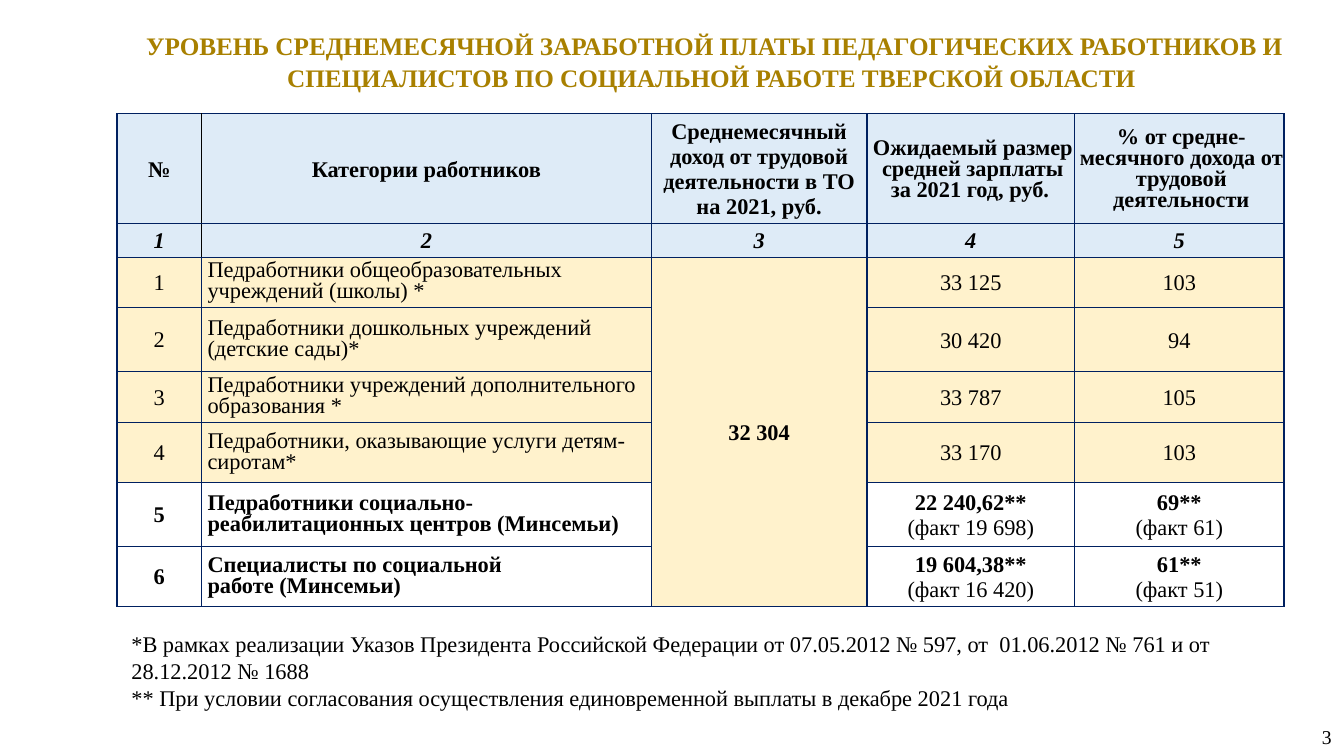
import pptx
import pptx.util
import pptx.dml.color
import pptx.enum.shapes
import pptx.enum.text
import lxml.etree

Cm, Pt = pptx.util.Cm, pptx.util.Pt
ALIGN = pptx.enum.text.PP_ALIGN
MIDDLE = pptx.enum.text.MSO_ANCHOR.MIDDLE

COLORS = {
    "title": "A88000", "text": "000000", "header": "DEEBF7",
    "teachers": "FFF2CC", "ministry": "FFFFFF", "border": "002060",
}
FONT = "Times New Roman"
TITLE = ("УРОВЕНЬ СРЕДНЕМЕСЯЧНОЙ ЗАРАБОТНОЙ ПЛАТЫ ПЕДАГОГИЧЕСКИХ РАБОТНИКОВ И "
         "СПЕЦИАЛИСТОВ ПО СОЦИАЛЬНОЙ РАБОТЕ ТВЕРСКОЙ ОБЛАСТИ ")
HEADINGS = [
    "№",
    "Категории работников",
    "Среднемесячный доход от трудовой деятельности в ТО на 2021, руб.",
    "Ожидаемый размер средней зарплаты за 2021 год, руб. ",
    "% от средне-месячного дохода от трудовой деятельности",
]
AVERAGE_INCOME = "32 304"
# Category lines, expected salary, percent of average income
TEACHERS = [
    (["Педработники общеобразовательных учреждений (школы) *"], ["33 125"], ["103"]),
    (["Педработники дошкольных учреждений (детские сады)*"], ["30 420"], ["94"]),
    (["Педработники учреждений дополнительного образования *"], ["33 787"], ["105"]),
    (["Педработники, оказывающие услуги детям-сиротам*"], ["33 170"], ["103"]),
]
MINISTRY = [
    (["Педработники социально-реабилитационных центров (Минсемьи)"],
     ["22 240,62**", "(факт 19 698)"], ["69**", "(факт 61)"]),
    (["Специалисты по социальной", "работе (Минсемьи)"],
     ["19 604,38**", "(факт 16 420)"], ["61**", "(факт 51)"]),
]
FOOTNOTES = [
    "*В рамках реализации Указов Президента Российской Федерации от 07.05.2012 № 597, "
    "от  01.06.2012 № 761 и от 28.12.2012 № 1688",
    "** При условии согласования осуществления единовременной выплаты в декабре 2021 года",
]
PAGE_NUMBER = "3"

COLUMN_WIDTHS = [2.13, 11.33, 5.44, 5.23, 5.28]
ROW_HEIGHTS = [2.77, 0.84, 1.26, 1.63, 1.27, 1.52, 1.61, 1.52]
FIRST_DATA_ROW = 2
# Cell margins in cm: left, top, right, bottom
PLAIN_MARGINS = (0.03, 0.03, 0.03, 0)
CATEGORY_MARGINS = (0.15, 0.03, 0.2, 0)
VALUE_MARGINS = (0, 0.1, 0, 0.05)
TIGHT_HEADING_MARGINS = (0.1, 0.1, 0, 0)
TIGHT_SPACING = Pt(15)


def rgb(name):
    return pptx.dml.color.RGBColor.from_string(COLORS[name])


def write(frame, lines, size=16, align=ALIGN.CENTER, color="text",
          bold=False, italic=False, spacing=None):
    """Write one paragraph per line; lines starting with a bracket are never bold."""
    for index, line in enumerate(lines):
        paragraph = frame.paragraphs[0] if index == 0 else frame.add_paragraph()
        paragraph.alignment = align
        if spacing is not None:
            paragraph.line_spacing = spacing
        run = paragraph.add_run()
        run.text = line
        run.font.name = FONT
        run.font.size = Pt(size)
        run.font.bold = bold and not line.startswith("(")
        run.font.italic = italic
        run.font.color.rgb = rgb(color)


def set_borders(cell, left="border", right="border"):
    properties = cell._tc.get_or_add_tcPr()
    sides = [("lnL", left), ("lnR", right), ("lnT", "border"), ("lnB", "border")]
    for position, (side, color) in enumerate(sides):
        line = pptx.oxml.parse_xml(
            f'<a:{side} xmlns:a="http://schemas.openxmlformats.org/drawingml/2006/main" '
            f'w="{Pt(1)}"><a:solidFill><a:srgbClr val="{COLORS[color]}"/>'
            f'</a:solidFill></a:{side}>')
        properties.insert(position, line)


def fill_cell(cell, lines, fill, margins=PLAIN_MARGINS, **text_format):
    cell.vertical_anchor = MIDDLE
    (cell.margin_left, cell.margin_top,
     cell.margin_right, cell.margin_bottom) = map(Cm, margins)
    cell.fill.solid()
    cell.fill.fore_color.rgb = rgb(fill)
    write(cell.text_frame, lines, **text_format)


def add_salary_table(slide):
    frame = slide.shapes.add_table(
        len(ROW_HEIGHTS), len(COLUMN_WIDTHS), Cm(2.95), Cm(2.87),
        Cm(sum(COLUMN_WIDTHS)), Cm(sum(ROW_HEIGHTS)))
    salaries = frame.table
    salaries.first_row = salaries.horz_banding = False
    for column, width in zip(salaries.columns, COLUMN_WIDTHS):
        column.width = Cm(width)
    for row, height in zip(salaries.rows, ROW_HEIGHTS):
        row.height = Cm(height)

    for column, heading in enumerate(HEADINGS):
        tight = column >= 3
        fill_cell(salaries.cell(0, column), [heading], "header",
                  TIGHT_HEADING_MARGINS if tight else PLAIN_MARGINS,
                  bold=True, spacing=TIGHT_SPACING if tight else None)
        fill_cell(salaries.cell(1, column), [str(column + 1)], "header",
                  bold=True, italic=True)

    for number, (category, salary, percent) in enumerate(TEACHERS + MINISTRY, 1):
        row = FIRST_DATA_ROW + number - 1
        bold = number > len(TEACHERS)
        fill = "ministry" if bold else "teachers"
        fill_cell(salaries.cell(row, 0), [str(number)], fill, bold=bold)
        fill_cell(salaries.cell(row, 1), category, fill, CATEGORY_MARGINS,
                  align=ALIGN.LEFT, bold=bold, spacing=TIGHT_SPACING)
        for column, lines in ((3, salary), (4, percent)):
            fill_cell(salaries.cell(row, column), lines, fill, VALUE_MARGINS, bold=bold)

    income = salaries.cell(FIRST_DATA_ROW, 2)
    income.merge(salaries.cell(len(ROW_HEIGHTS) - 1, 2))
    fill_cell(income, [AVERAGE_INCOME], "teachers", bold=True)

    for row in range(len(ROW_HEIGHTS)):
        for column in range(len(COLUMN_WIDTHS)):
            header = row < FIRST_DATA_ROW
            set_borders(salaries.cell(row, column),
                        left="text" if header and column == 1 else "border",
                        right="text" if header and column == 0 else "border")


def main():
    deck = pptx.Presentation()
    deck.slide_width, deck.slide_height = Cm(33.87), Cm(19.05)
    slide = deck.slides.add_slide(deck.slide_layouts[5])

    title = slide.shapes.title
    title.left, title.top, title.width, title.height = map(Cm, (3.05, 0.58, 29.92, 1.9))
    title.text_frame.vertical_anchor = pptx.enum.text.MSO_ANCHOR.TOP
    title.text_frame.auto_size = pptx.enum.text.MSO_AUTO_SIZE.NONE
    write(title.text_frame, [TITLE], size=18, color="title", bold=True, spacing=1.07)

    add_salary_table(slide)

    page = slide.shapes.add_textbox(Cm(25.43), Cm(18.06), Cm(8.38), Cm(1.01))
    page.text_frame.word_wrap = True
    page.text_frame.vertical_anchor = MIDDLE
    write(page.text_frame, [PAGE_NUMBER], size=14, align=ALIGN.RIGHT)

    footnotes = slide.shapes.add_shape(
        pptx.enum.shapes.MSO_SHAPE.ROUNDED_RECTANGLE,
        Cm(2.95), Cm(15.75), Cm(29.92), Cm(2.31))
    footnotes.shadow.inherit = False
    footnotes.fill.background()
    footnotes.line.fill.background()
    footnotes.text_frame.word_wrap = True
    footnotes.text_frame.vertical_anchor = MIDDLE
    write(footnotes.text_frame, FOOTNOTES, align=ALIGN.LEFT)

    deck.save("out.pptx")


if __name__ == "__main__":
    main()
